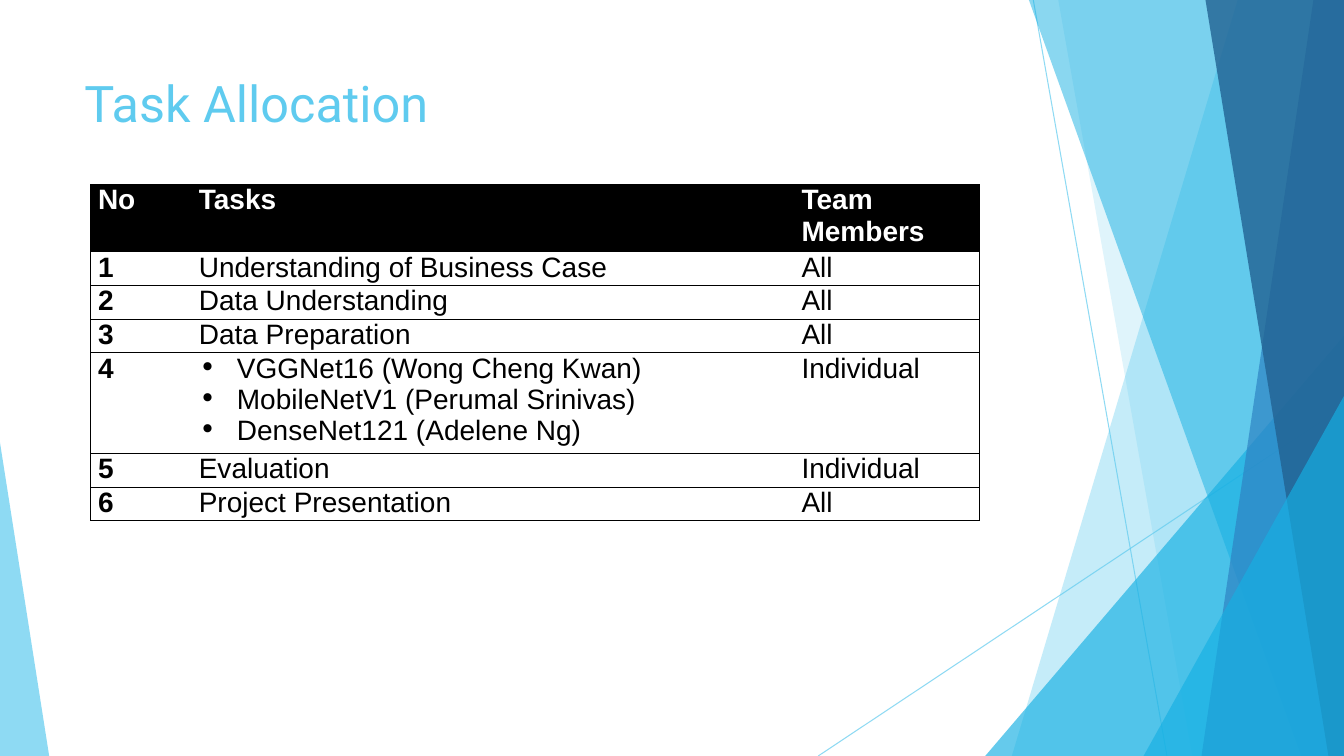
from dataclasses import dataclass

from lxml import etree
from pptx import Presentation
from pptx import util as u
from pptx.dml.color import RGBColor
from pptx.enum import shapes, text
from pptx.oxml.ns import qn


@dataclass(frozen=True)
class Theme:
    sky: str = "5FCBEF"
    cyan: str = "16B0E3"
    blue: str = "2E83C3"
    navy: str = "226292"
    black: str = "000000"
    white: str = "FFFFFF"
    title_font: str = "Roboto"
    table_font: str = "Arial"
    title_size: int = 36
    table_size: int = 20
    line_width: float = 0.75


@dataclass(frozen=True)
class Box:
    """A region of the slide, in centimetres."""
    left: float
    top: float
    width: float
    height: float

    @property
    def right(self):
        return self.left + self.width

    @property
    def bottom(self):
        return self.top + self.height


THEME = Theme()
SLIDE = Box(0, 0, 33.87, 19.05)
NO_STYLE = "{2D5ABB26-0587-4C30-8999-92F81FD0307C}"
BULLET = "∙"

HEADER = ("No", "Tasks", "Team Members")
TASKS = [
    ("1", "Understanding of Business Case", "All"),
    ("2", "Data Understanding", "All"),
    ("3", "Data Preparation", "All"),
    ("4", ["VGGNet16 (Wong Cheng Kwan)", "MobileNetV1 (Perumal Srinivas)",
           "DenseNet121 (Adelene Ng)"], "Individual"),
    ("5", "Evaluation", "Individual"),
    ("6", "Project Presentation", "All"),
]
RULED_ROWS = (0, 1, 3, 5)  # rows with a line above them


def color(value):
    return RGBColor.from_string(value)


def set_opacity(shape, percent):
    for element in shape.element.spPr.iter(qn("a:srgbClr")):
        etree.SubElement(element, qn("a:alpha")).set("val", str(percent * 1000))


def paint(shape, fill, opacity):
    shape.shadow.inherit = False
    shape.line.fill.background()
    shape.fill.solid()
    shape.fill.fore_color.rgb = color(fill)
    set_opacity(shape, opacity)


def style_runs(paragraph, font_name, size, fill, bold=False):
    for run in paragraph.runs:
        run.font.name = font_name
        run.font.size = u.Pt(size)
        run.font.color.rgb = color(fill)
        run.font.bold = bold


# Decorative facets
def add_thin_line(slide, start, end):
    line = slide.shapes.add_connector(shapes.MSO_CONNECTOR.STRAIGHT,
                                      *map(u.Cm, start + end))
    line.line.color.rgb = color(THEME.sky)
    line.line.width = u.Pt(THEME.line_width)
    set_opacity(line, 70)
    etree.SubElement(line.element.spPr, qn("a:effectLst"))


def add_band(slide, box, top_inset, bottom_inset, fill, opacity):
    """Fill from a slanted left side to the right edge of the box."""
    corners = [(box.right - top_inset, box.top), (box.right, box.top),
               (box.right, box.bottom), (box.right - bottom_inset, box.bottom)]
    points = [(u.Cm(x), u.Cm(y)) for x, y in corners]
    builder = slide.shapes.build_freeform(*points[0])
    builder.add_line_segments(points[1:], close=True)
    paint(builder.convert_to_shape(), fill, opacity)


def add_corner(slide, box, width, height, on_right, fill, opacity):
    """Place a triangle in a bottom corner of the box."""
    left = box.right - width if on_right else box.left
    triangle = slide.shapes.add_shape(
        shapes.MSO_SHAPE.ISOSCELES_TRIANGLE, u.Cm(left),
        u.Cm(box.bottom - height), u.Cm(width), u.Cm(height))
    triangle.adjustments[0] = 1 if on_right else 0
    paint(triangle, fill, opacity)


def add_facets(slide, box):
    add_thin_line(slide, (box.right - 7.83, box.top), (box.right - 4.46, box.bottom))
    add_thin_line(slide, (box.right, box.top + 10.24), (box.right - 13.25, box.bottom))
    add_band(slide, box, 2.68, 8.37, THEME.sky, 36)
    add_band(slide, box, 7.2, 3.82, THEME.sky, 20)
    add_corner(slide, box, 9.04, 10.59, True, THEME.cyan, 66)
    add_band(slide, box, 7.94, 1.08, THEME.cyan, 50)
    add_band(slide, box, 0.77, 3.59, THEME.blue, 70)
    add_band(slide, box, 3.49, 0.39, THEME.navy, 80)
    add_corner(slide, box, 5.05, 9.07, True, THEME.cyan, 66)
    add_corner(slide, box, 1.24, 7.9, False, THEME.sky, 70)


# Title
def add_title(slide, box, wording):
    frame = slide.shapes.add_textbox(u.Cm(box.left), u.Cm(box.top), u.Cm(box.width),
                                     u.Cm(box.height)).text_frame
    frame.word_wrap = True
    frame.vertical_anchor = text.MSO_ANCHOR.TOP
    frame.text = wording
    style_runs(frame.paragraphs[0], THEME.title_font, THEME.title_size, THEME.sky)


# Task table
def add_borders(cell, sides):
    properties = cell._tc.get_or_add_tcPr()
    for index, side in enumerate(sides):
        line = etree.Element(qn(f"a:ln{side}"), w=str(u.Pt(THEME.line_width)))
        fill = etree.SubElement(line, qn("a:solidFill"))
        etree.SubElement(fill, qn("a:srgbClr"), val=THEME.black)
        properties.insert(index, line)


def add_bullet(paragraph):
    properties = paragraph._p.get_or_add_pPr()
    properties.set("marL", str(u.Cm(0.96)))
    properties.set("indent", str(-u.Cm(0.96)))
    bullet_color = etree.SubElement(properties, qn("a:buClr"))
    etree.SubElement(bullet_color, qn("a:srgbClr"), val=THEME.black)
    etree.SubElement(properties, qn("a:buChar"), char=BULLET)


def fill_cell(cell, content, is_header, bold):
    cell.margin_left = cell.margin_right = u.Cm(0.18)
    cell.margin_top = cell.margin_bottom = 0
    bulleted = isinstance(content, list)
    cell.text_frame.text = "\n".join(content) if bulleted else content
    for paragraph in cell.text_frame.paragraphs:
        if bulleted:
            add_bullet(paragraph)
        style_runs(paragraph, THEME.table_font, THEME.table_size,
                   THEME.white if is_header else THEME.black, bold)
    if is_header:
        cell.fill.solid()
        cell.fill.fore_color.rgb = color(THEME.black)
    else:
        cell.fill.background()


def add_task_table(slide, box):
    rows = [HEADER, *TASKS]
    widths = (2.54, 15.19, box.width - 2.54 - 15.19)
    line_counts = (2, 1, 1, 1, 3, 1, 1)
    table = slide.shapes.add_table(len(rows), len(HEADER), u.Cm(box.left), u.Cm(box.top),
                                   u.Cm(box.width), u.Cm(box.height)).table
    table._tbl.tblPr.find(qn("a:tableStyleId")).text = NO_STYLE
    for column, width in zip(table.columns, widths):
        column.width = u.Cm(width)
    for row, count in zip(table.rows, line_counts):
        row.height = u.Cm(box.height * count / sum(line_counts))
    last_row, last_column = len(rows) - 1, len(HEADER) - 1
    for r, contents in enumerate(rows):
        for c, content in enumerate(contents):
            cell = table.cell(r, c)
            fill_cell(cell, content, r == 0, r == 0 or c == 0)
            edges = {"L": c == 0, "R": c == last_column,
                     "T": r in RULED_ROWS, "B": r == last_row}
            add_borders(cell, [side for side, shown in edges.items() if shown])


def main():
    presentation = Presentation()
    presentation.slide_width = u.Cm(SLIDE.width)
    presentation.slide_height = u.Cm(SLIDE.height)
    slide = presentation.slides.add_slide(presentation.slide_layouts[6])
    add_facets(slide, SLIDE)
    add_title(slide, Box(1.88, 1.7, 23.88, 3.66), "Task Allocation")
    add_task_table(slide, Box(2.29, 4.65, 22.4, 7.87))
    presentation.save("out.pptx")


if __name__ == "__main__":
    main()
